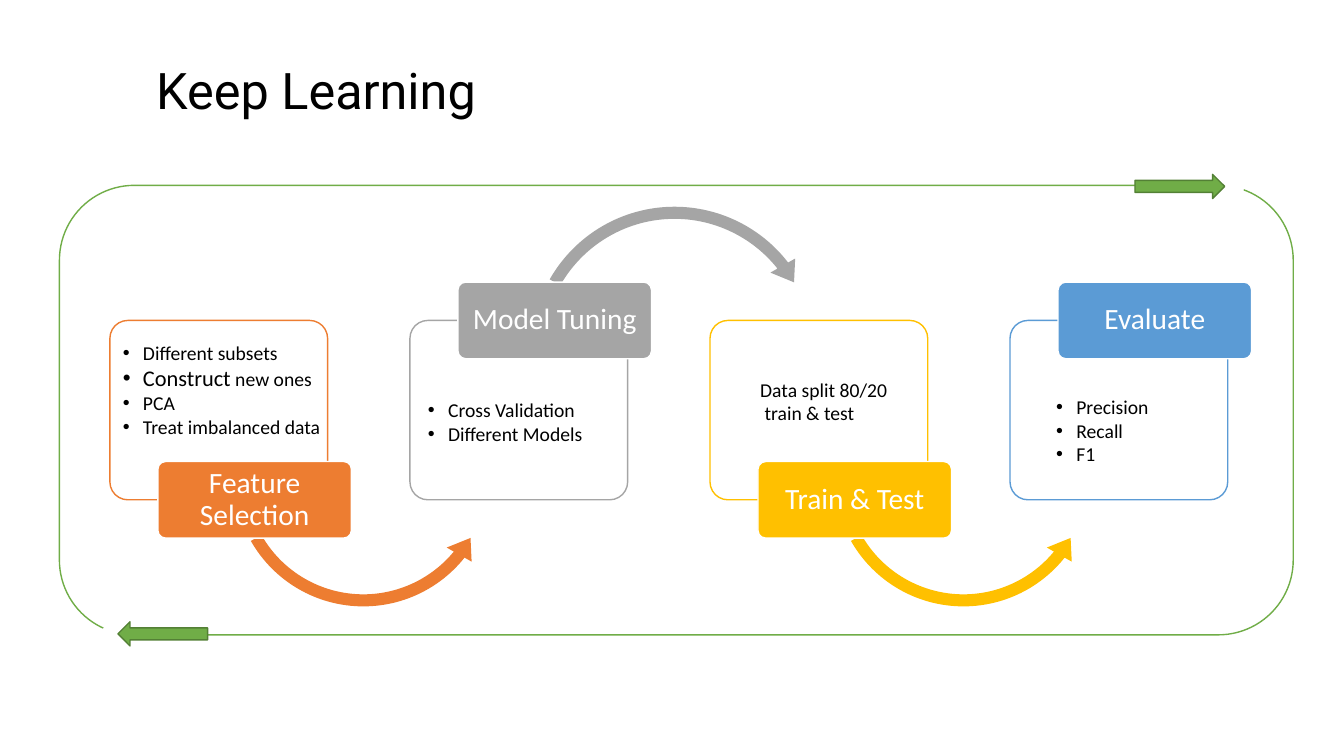
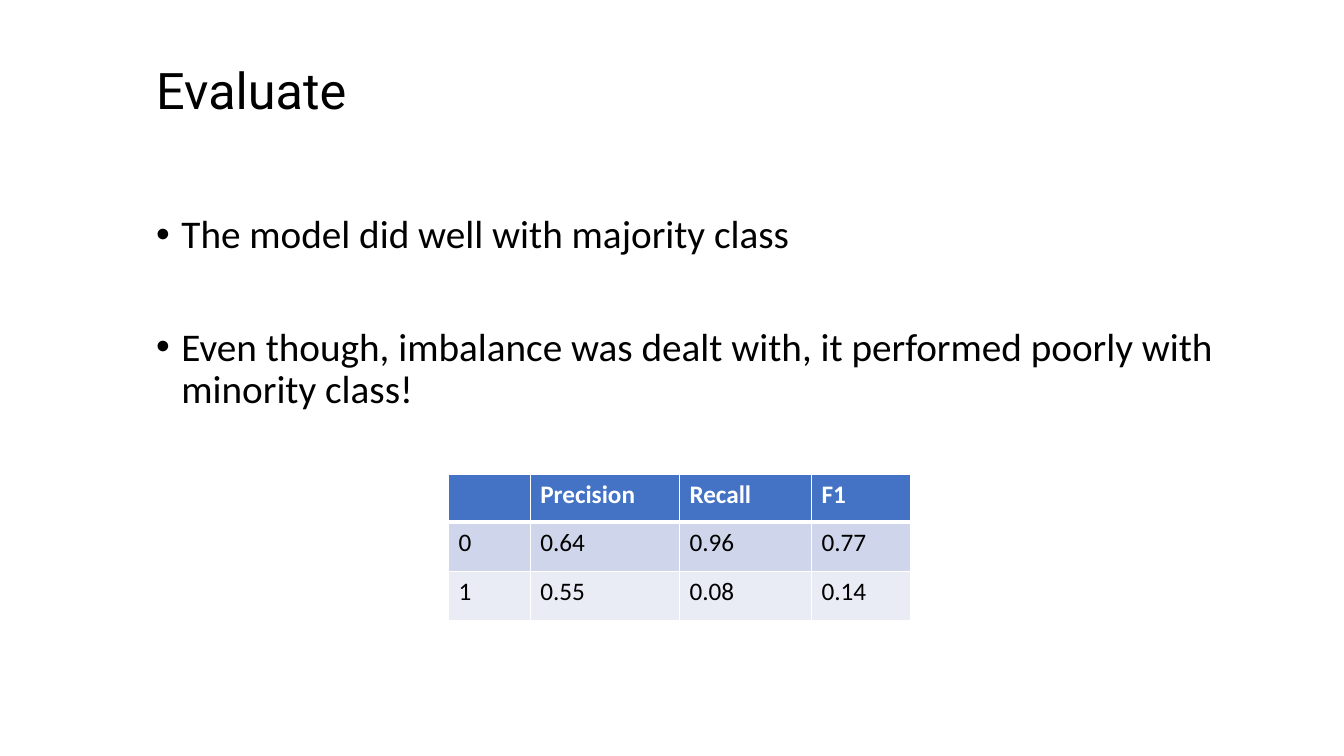
import dataclasses

import lxml.etree
import pptx
import pptx.dml.color
import pptx.enum.shapes
import pptx.enum.text
import pptx.oxml.ns
import pptx.util

SHAPE = pptx.enum.shapes.MSO_SHAPE
ALIGN = pptx.enum.text.PP_ALIGN
ANCHOR = pptx.enum.text.MSO_ANCHOR
Pt = pptx.util.Pt
Inches = pptx.util.Inches
qn = pptx.oxml.ns.qn

SLIDE_WIDTH, SLIDE_HEIGHT = Inches(13.33), Inches(7.5)
GRID_COLUMNS = 40
UNIT = SLIDE_WIDTH / GRID_COLUMNS


@dataclasses.dataclass(frozen=True)
class Theme:
    """Colours, fonts and type sizes of the deck."""
    ink: str = "000000"
    paper: str = "FFFFFF"
    loop: str = "70AD47"
    loop_edge: str = "538035"
    stages: tuple = ("ED7D31", "A5A5A5", "FFC000", "5B9BD5")
    header: str = "4472C4"
    bands: tuple = ("CFD5EA", "E9EBF5")
    title_font: str = "Roboto"
    text_font: str = "Calibri"
    title_size: int = 36
    body_size: int = 28
    label_size: int = 21
    table_size: int = 18
    large_note_size: int = 16
    note_size: int = 14
    tight: float = 0.9


@dataclasses.dataclass(frozen=True)
class Box:
    """A rectangle measured in grid units."""
    x: float
    y: float
    w: float
    h: float

    def inner(self, dx, dy, w, h):
        """Return a box offset from this one's corner."""
        return Box(self.x + dx, self.y + dy, w, h)

    def emu(self):
        """Return left, top, width and height for python-pptx."""
        return [round(side * UNIT) for side in (self.x, self.y, self.w, self.h)]


THEME = Theme()
TITLE_BOX = Box(4.35, 0.6, 34.5, 4.35)
LOOP_BOX = Box(1.77, 5.52, 36.72, 13.38)
FIRST_CARD = Box(3.27, 9.54, 6.48, 5.34)
STAGE_PITCH = 8.93
FINDINGS_BOX = Box(4.35, 6.25, 34.05, 12.2)
SCORES_BOX = Box(13.35, 14.13, 13.74, 4.35)

STAGES = [
    ("Feature Selection", (-0.24, 0.45, 6.81, 3.93),
     ["Different subsets", "Construct| new ones", "PCA", "Treat imbalanced data"]),
    ("Model Tuning", (-0.09, 2.16, 6, 1.71), ["Cross Validation", "Different Models"]),
    ("Train & Test", (0.87, 1.56, 4.95, 1.71), ["Data split 80/20", " train & test"]),
    ("Evaluate", (0.75, 2.07, 4.92, 2.43), ["Precision", "Recall", "F1"]),
]
PLAIN_NOTES = {"Train & Test"}
FINDINGS = [
    "The model did well with majority class",
    "Even though, imbalance was dealt with, it performed poorly with minority class!",
]
SCORES = [
    ("", "Precision", "Recall", "F1"),
    ("0", "0.64", "0.96", "0.77"),
    ("1", "0.55", "0.08", "0.14"),
]


def rgb(value):
    """Turn a hex string into a colour."""
    return pptx.dml.color.RGBColor.from_string(value)


def style_font(font, size, color=THEME.ink, name=THEME.text_font, bold=False):
    """Set size, colour, face and weight of a font."""
    font.size, font.name, font.bold = Pt(size), name, bold
    font.color.rgb = rgb(color)


def set_indent(paragraph, left, bulleted):
    """Indent a paragraph by inches and give it a hanging bullet if asked."""
    properties = paragraph._p.get_or_add_pPr()
    hanging = min(left, 0.2 if left > 0.25 else 0.25) if bulleted else 0
    properties.set("marL", str(Inches(left)))
    properties.set("indent", str(-Inches(hanging)))
    if bulleted:
        lxml.etree.SubElement(properties, qn("a:buFont")).set("typeface", "Arial")
        lxml.etree.SubElement(properties, qn("a:buChar")).set("char", "•")


def add_shape(slide, preset, box, fill=None, line=None):
    """Add a flat preset shape with optional fill and outline."""
    shape = slide.shapes.add_shape(preset, *box.emu())
    shape.shadow.inherit = False
    if fill:
        shape.fill.solid()
        shape.fill.fore_color.rgb = rgb(fill)
    else:
        shape.fill.background()
    if line:
        shape.line.color.rgb = rgb(line)
        shape.line.width = Pt(1)
    else:
        shape.line.fill.background()
    return shape


def add_titled_slide(deck, layout_name, title):
    """Add a slide with the shared title style."""
    slide = deck.slides.add_slide(deck.slide_layouts.get_by_name(layout_name))
    heading = slide.shapes.title
    heading.left, heading.top, heading.width, heading.height = TITLE_BOX.emu()
    frame = heading.text_frame
    frame.text = title
    frame.auto_size = pptx.enum.text.MSO_AUTO_SIZE.NONE
    frame.vertical_anchor = ANCHOR.MIDDLE
    paragraph = frame.paragraphs[0]
    paragraph.alignment, paragraph.line_spacing = ALIGN.LEFT, THEME.tight
    style_font(paragraph.font, THEME.title_size, name=THEME.title_font)
    return slide


def add_stage_arrow(slide, card, color, tab_is_low):
    """Curve an arrow from a stage's tab to the next stage."""
    if tab_is_low:
        preset, box = SHAPE.LEFT_CIRCULAR_ARROW, card.inner(3.45, 0.57, 8.19, 8.19)
        thickness, angles, head = 4.4, (9.37, 38.96, 150.41), 5.2
    else:
        preset, box = SHAPE.CIRCULAR_ARROW, card.inner(3.36, -3.63, 9.03, 9.03)
        thickness, angles, head = 4, (8.42, 321.99, 209.59), 4.7
    arrow = add_shape(slide, preset, box, color)
    settings = [thickness / 100, *(angle * 0.6 for angle in angles), head / 100]
    for index, setting in enumerate(settings):
        arrow.adjustments[index] = setting


def add_tab(slide, card, label, color, tab_is_low):
    """Centre a stage's name tab on the bottom or top edge of its card."""
    width, height = 5.76, 2.28
    edge = card.h if tab_is_low else 0
    box = card.inner(1.43, edge - height / 2, width, height)
    tab = add_shape(slide, SHAPE.ROUNDED_RECTANGLE, box, color, THEME.paper)
    tab.adjustments[0] = 0.1
    frame = tab.text_frame
    frame.text, frame.word_wrap = label, True
    frame.vertical_anchor = ANCHOR.MIDDLE
    frame.margin_left = frame.margin_right = Inches(0.06)
    frame.margin_top = frame.margin_bottom = Inches(0.05)
    paragraph = frame.paragraphs[0]
    paragraph.alignment, paragraph.line_spacing = ALIGN.CENTER, THEME.tight
    style_font(paragraph.font, THEME.label_size, THEME.paper)


def add_notes(slide, box, notes, bulleted):
    """List a stage's notes; words before a bar are set larger."""
    frame = slide.shapes.add_textbox(*box.emu()).text_frame
    frame.word_wrap = True
    for index, note in enumerate(notes):
        paragraph = frame.add_paragraph() if index else frame.paragraphs[0]
        set_indent(paragraph, 0.31 if bulleted else 0.11, bulleted)
        style_font(paragraph.font, THEME.note_size)
        larger, _, rest = note.rpartition("|")
        if larger:
            emphasis = paragraph.add_run()
            emphasis.text = larger
            emphasis.font.size = Pt(THEME.large_note_size)
        paragraph.add_run().text = rest


def add_stage(slide, card, index):
    """Draw one stage: card, arrow onward, tab and notes."""
    label, note_place, notes = STAGES[index]
    color, tab_is_low = THEME.stages[index], index % 2 == 0
    panel = add_shape(slide, SHAPE.ROUNDED_RECTANGLE, card, THEME.paper, color)
    panel.adjustments[0] = 0.1
    tint = panel._element.spPr.find(qn("a:solidFill"))[0]
    lxml.etree.SubElement(tint, qn("a:alpha")).set("val", "90000")
    if index < len(STAGES) - 1:
        add_stage_arrow(slide, card, color, tab_is_low)
    add_tab(slide, card, label, color, tab_is_low)
    add_notes(slide, card.inner(*note_place), notes, label not in PLAIN_NOTES)


def add_loop(slide, box):
    """Draw the outer loop with a gap and an arrow at two corners."""
    add_shape(slide, SHAPE.ROUNDED_RECTANGLE, box, line=THEME.loop)
    corners = [
        (SHAPE.LEFT_ARROW, 1.26, 12.99, 1.74, 12.99),
        (SHAPE.RIGHT_ARROW, 34.5, -0.27, 32.01, -0.33),
    ]
    for preset, gap_x, gap_y, arrow_x, arrow_y in corners:
        gap = box.inner(gap_x, gap_y, 0.75, 0.72)
        add_shape(slide, SHAPE.FLOWCHART_CONNECTOR, gap, THEME.paper)
        arrow = box.inner(arrow_x, arrow_y, 2.67, 0.72)
        add_shape(slide, preset, arrow, THEME.loop, THEME.loop_edge)


def add_findings(slide, box):
    """Fill the body placeholder with the findings."""
    body = slide.placeholders[1]
    body.left, body.top, body.width, body.height = box.emu()
    frame = body.text_frame
    frame.text = "\n".join(FINDINGS)
    frame.auto_size = pptx.enum.text.MSO_AUTO_SIZE.NONE
    for index, paragraph in enumerate(frame.paragraphs):
        paragraph.line_spacing = THEME.tight
        paragraph.space_before = Pt(50 if index else 0)
        set_indent(paragraph, 0.25, True)
        style_font(paragraph.font, THEME.body_size)


def set_borders(cell, bottom_width):
    """Rule a cell in the paper colour."""
    properties = cell._tc.get_or_add_tcPr()
    widths = {"a:lnL": 1, "a:lnR": 1, "a:lnT": 1, "a:lnB": bottom_width}
    for position, (side, width) in enumerate(widths.items()):
        rule = properties.makeelement(qn(side), {"w": str(Pt(width))})
        solid = lxml.etree.SubElement(rule, qn("a:solidFill"))
        lxml.etree.SubElement(solid, qn("a:srgbClr")).set("val", THEME.paper)
        properties.insert(position, rule)


def add_scores(slide, box):
    """Draw the table of scores per class."""
    table = slide.shapes.add_table(len(SCORES), len(SCORES[0]), *box.emu()).table
    for column, width in zip(table.columns, (0.81, 1.48, 1.31, 0.98)):
        column.width = Inches(width)
    for row, height in zip(table.rows, (0.47, 0.49, 0.49)):
        row.height = Inches(height)
    for row_index, values in enumerate(SCORES):
        is_header = row_index == 0
        fill = THEME.header if is_header else THEME.bands[row_index - 1]
        color = THEME.paper if is_header else THEME.ink
        for column_index, value in enumerate(values):
            cell = table.cell(row_index, column_index)
            cell.text = value
            cell.fill.solid()
            cell.fill.fore_color.rgb = rgb(fill)
            set_borders(cell, 3 if is_header else 1)
            style_font(cell.text_frame.paragraphs[0].font, THEME.table_size, color,
                       bold=is_header)


def build_learning_slide(deck):
    """Build the slide of the learning cycle."""
    slide = add_titled_slide(deck, "Title Only", "Keep Learning")
    for index in range(len(STAGES)):
        card = FIRST_CARD.inner(index * STAGE_PITCH, 0, FIRST_CARD.w, FIRST_CARD.h)
        add_stage(slide, card, index)
    add_loop(slide, LOOP_BOX)


def build_evaluation_slide(deck):
    """Build the slide of findings and scores."""
    slide = add_titled_slide(deck, "Title and Content", "Evaluate")
    add_findings(slide, FINDINGS_BOX)
    add_scores(slide, SCORES_BOX)


def main():
    """Build and save the deck."""
    deck = pptx.Presentation()
    deck.slide_width, deck.slide_height = SLIDE_WIDTH, SLIDE_HEIGHT
    build_learning_slide(deck)
    build_evaluation_slide(deck)
    deck.save("out.pptx")


if __name__ == "__main__":
    main()
